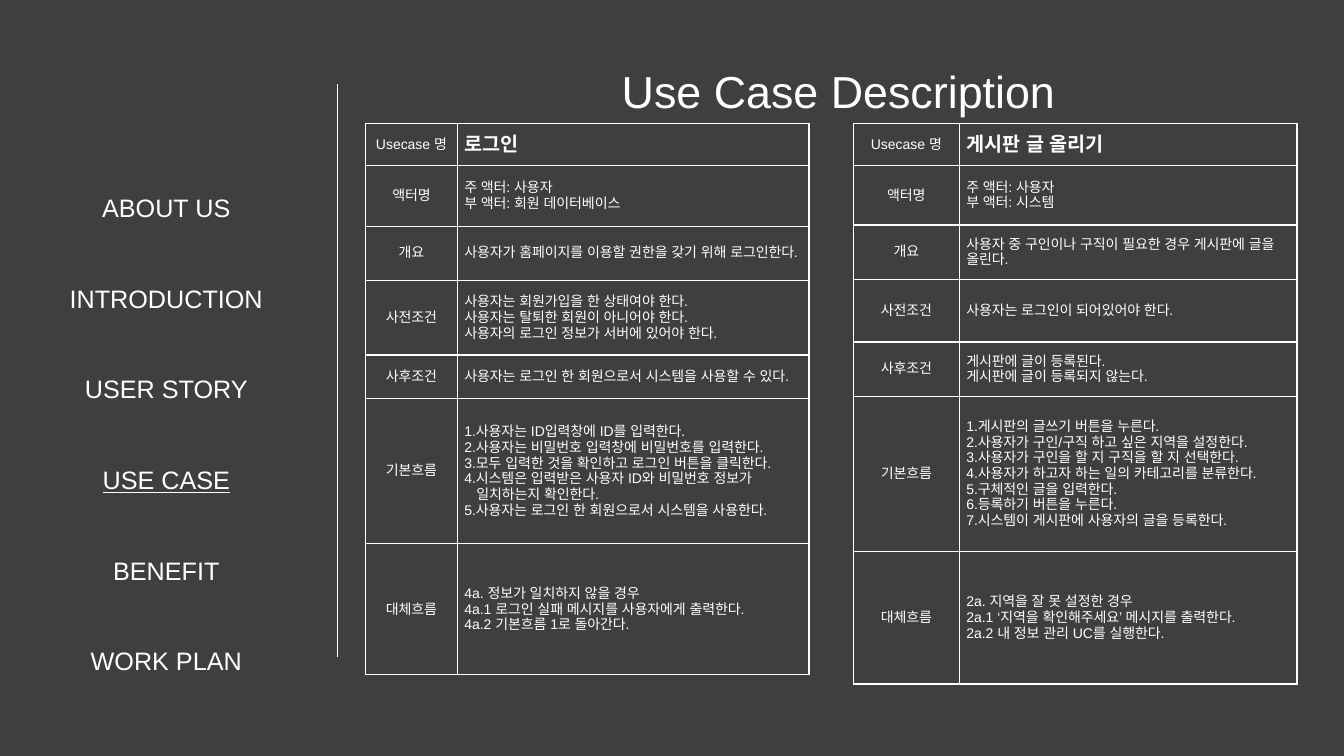
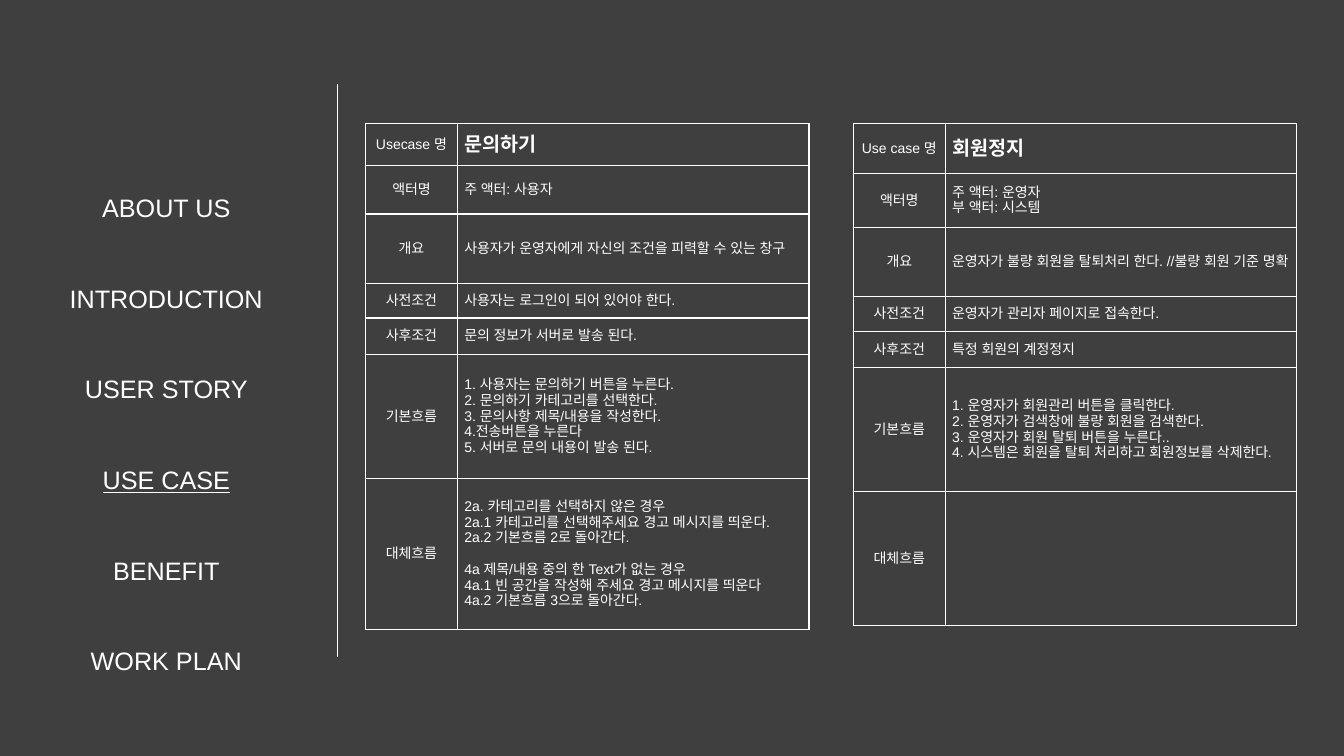
from dataclasses import dataclass

from lxml.etree import SubElement
from pptx import Presentation
from pptx.dml.color import RGBColor as Rgb
from pptx.enum.shapes import MSO_CONNECTOR as Link
from pptx.enum.text import MSO_ANCHOR as Anchor, PP_ALIGN as Align
from pptx.oxml.ns import qn
from pptx.util import Inches, Pt

COLS, ROWS = 80, 45
UNIT = Inches(1) // 6  # side of one grid square


@dataclass(frozen=True)
class Theme:
    back: str = "3F3F3F"
    ink: str = "FFFFFF"
    font: str = "Arial"
    title: float = 32
    menu: float = 18
    head: float = 14
    body: float = 10
    rule: float = 0.75
    edge: float = 1


@dataclass(frozen=True)
class Line:
    text: str
    indent: float = 0  # inches
    gap: float = 0  # points before


MENU = ["ABOUT US", "INTRODUCTION", "USER STORY", "USE CASE", "BENEFIT", "WORK PLAN"]
LABELS = ["액터명", "개요", "사전조건", "사후조건", "기본흐름", "대체흐름"]
LEFT, RIGHT, TOP, WIDTH = 21.76, 50.8, 7.36, 26.4
NARROW, WIDE = 5.46, 6.3


def grid(size):
    return round(size * UNIT)


class Deck:
    def __init__(self, theme):
        self.theme = theme
        self.file = Presentation()
        self.file.slide_width, self.file.slide_height = COLS * UNIT, ROWS * UNIT
        fill = self.file.slide_master.background.fill
        fill.solid()
        fill.fore_color.rgb = Rgb.from_string(theme.back)
        self.slide = None

    def page(self):
        """Start a slide with the menu and the rule beside it."""
        self.slide = self.file.slides.add_slide(self.file.slide_layouts[6])
        self.rule(20.1, 5, 39.1)
        self.menu("USE CASE")

    def run(self, para, text, size, **style):
        run = para.add_run()
        run.text = text
        font = run.font
        font.name, font.size = self.theme.font, Pt(size)
        font.color.rgb = Rgb.from_string(self.theme.ink)
        for key, value in style.items():
            setattr(font, key, value)
        # Hangul and its spaces take the East Asian face
        SubElement(run._r.get_or_add_rPr(), qn("a:ea"), typeface=self.theme.font)

    def lines(self, frame, lines, size, align=Align.LEFT, **style):
        """Write each string or Line as a paragraph and return the paragraphs."""
        paras = []
        for i, line in enumerate(lines):
            line = Line(line) if isinstance(line, str) else line
            para = frame.add_paragraph() if i else frame.paragraphs[0]
            para.alignment = align
            if line.indent:
                props = para._p.get_or_add_pPr()
                props.set("marL", str(Inches(line.indent)))
                props.set("indent", "0")
            if line.gap:
                para.space_before = Pt(line.gap)
            self.run(para, line.text, size, **style)
            paras.append(para)
        return paras

    def box(self, x, y, w, h):
        frame = self.slide.shapes.add_textbox(*map(grid, (x, y, w, h))).text_frame
        frame.word_wrap = True
        return frame

    def title(self, text):
        frame = self.box(20.1, 3.5, 59.64, 3.84)
        self.lines(frame, [text], self.theme.title, Align.CENTER)

    def menu(self, here):
        frame = self.box(0, 7.54, 19.8, 26.88)
        for para in self.lines(frame, MENU, self.theme.menu, Align.CENTER):
            para.line_spacing = 3.0
            if para.text == here:
                para.runs[0].font.underline = True

    def rule(self, x, top, end):
        rule = self.slide.shapes.add_connector(
            Link.STRAIGHT, grid(x), grid(top), grid(x), grid(end))
        rule.line.color.rgb = Rgb.from_string(self.theme.ink)
        rule.line.width = Pt(self.theme.rule)
        SubElement(rule._element.spPr, qn("a:effectLst"))

    def frame(self, cell):
        """Give a cell its borders, insets and clear fill."""
        props = cell._tc.get_or_add_tcPr()
        for side in ("lnL", "lnR", "lnT", "lnB"):
            edge = SubElement(props, qn(f"a:{side}"), w=str(Pt(self.theme.edge)))
            fill = SubElement(edge, qn("a:solidFill"))
            SubElement(fill, qn("a:srgbClr"), val=self.theme.ink)
        cell.fill.background()
        cell.vertical_anchor = Anchor.MIDDLE
        cell.margin_left = cell.margin_right = Inches(0.07)
        cell.margin_top = cell.margin_bottom = Inches(0.07)

    def case(self, x, name, texts, heights, first=NARROW, label="Usecase 명"):
        """Draw a use case table: a name row, then one row per label."""
        rows = [(label, [name]), *zip(LABELS, texts)]
        table = self.slide.shapes.add_table(
            len(rows), 2, grid(x), grid(TOP), grid(WIDTH), grid(sum(heights))).table
        table.first_row = table.horz_banding = False
        for col, width in zip(table.columns, (first, WIDTH - first)):
            col.width = grid(width)
        for i, (head, lines) in enumerate(rows):
            table.rows[i].height = grid(heights[i])
            left, right = table.cell(i, 0), table.cell(i, 1)
            self.frame(left)
            self.frame(right)
            self.lines(left.text_frame, [head], self.theme.body, Align.CENTER, bold=False)
            size = self.theme.body if i else self.theme.head
            self.lines(right.text_frame, lines, size, bold=not i)


def main():
    deck = Deck(Theme())

    deck.page()
    deck.title("Use Case Description")
    deck.case(RIGHT, "게시판 글 올리기", [
        ["주 액터: 사용자", "부 액터: 시스템"],
        ["사용자 중 구인이나 구직이 필요한 경우 게시판에 글을 올린다."],
        ["사용자는 로그인이 되어있어야 한다."],
        ["게시판에 글이 등록된다.", "게시판에 글이 등록되지 않는다."],
        ["1.게시판의 글쓰기 버튼을 누른다.",
         "2.사용자가 구인/구직 하고 싶은 지역을 설정한다.",
         "3.사용자가 구인을 할 지 구직을 할 지 선택한다.",
         "4.사용자가 하고자 하는 일의 카테고리를 분류한다.",
         "5.구체적인 글을 입력한다.",
         "6.등록하기 버튼을 누른다.",
         "7.시스템이 게시판에 사용자의 글을 등록한다."],
        ["2a. 지역을 잘 못 설정한 경우",
         "2a.1 ‘지역을 확인해주세요’ 메시지를 출력한다.",
         "2a.2 내 정보 관리 UC를 실행한다."],
    ], [2.5, 3.54, 3.22, 3.74, 3.22, 9.24, 7.9], WIDE)
    deck.case(LEFT, "로그인", [
        ["주 액터: 사용자", "부 액터: 회원 데이터베이스"],
        ["사용자가 홈페이지를 이용할 권한을 갖기 위해 로그인한다."],
        ["사용자는 회원가입을 한 상태여야 한다.",
         "사용자는 탈퇴한 회원이 아니어야 한다.",
         "사용자의 로그인 정보가 서버에 있어야 한다."],
        ["사용자는 로그인 한 회원으로서 시스템을 사용할 수 있다."],
        ["1.사용자는 ID입력창에 ID를 입력한다.",
         "2.사용자는 비밀번호 입력창에 비밀번호를 입력한다.",
         "3.모두 입력한 것을 확인하고 로그인 버튼을 클릭한다.",
         "4.시스템은 입력받은 사용자 ID와 비밀번호 정보가",
         Line("일치하는지 확인한다.", indent=0.12),
         "5.사용자는 로그인 한 회원으로서 시스템을 사용한다."],
        ["4a. 정보가 일치하지 않을 경우",
         "4a.1 로그인 실패 메시지를 사용자에게 출력한다.",
         "4a.2 기본흐름 1로 돌아간다."],
    ], [2.5, 3.6, 3.22, 4.45, 2.6, 8.64, 7.8])

    deck.page()
    deck.case(LEFT, "문의하기", [
        ["주 액터: 사용자"],
        ["사용자가 운영자에게 자신의 조건을 피력할 수 있는 창구"],
        ["사용자는 로그인이 되어 있어야 한다."],
        ["문의 정보가 서버로 발송 된다."],
        ["1. 사용자는 문의하기 버튼을 누른다.",
         "2. 문의하기 카테고리를 선택한다.",
         "3. 문의사항 제목/내용을 작성한다.",
         "4.전송버튼을 누른다",
         "5. 서버로 문의 내용이 발송 된다."],
        ["2a. 카테고리를 선택하지 않은 경우",
         "2a.1 카테고리를 선택해주세요 경고 메시지를 띄운다.",
         "2a.2 기본흐름 2로 돌아간다.",
         Line("4a 제목/내용 중의 한 Text가 없는 경우", gap=11.5),
         "4a.1 빈 공간을 작성해 주세요 경고 메시지를 띄운다",
         "4a.2 기본흐름 3으로 돌아간다."],
    ], [2.5, 2.88, 4.14, 2.05, 2.16, 7.4, 8.98])
    deck.case(RIGHT, "회원정지", [
        ["주 액터: 운영자", "부 액터: 시스템"],
        ["운영자가 불량 회원을 탈퇴처리 한다. //불량 회원 기준 명확"],
        ["운영자가 관리자 페이지로 접속한다."],
        ["특정 회원의 계정정지"],
        ["1. 운영자가 회원관리 버튼을 클릭한다.",
         "2. 운영자가 검색창에 불량 회원을 검색한다.",
         "3. 운영자가 회원 탈퇴 버튼을 누른다..",
         "4. 시스템은 회원을 탈퇴 처리하고 회원정보를 삭제한다."],
        [],
    ], [2.95, 3.22, 4.14, 2.05, 2.16, 7.4, 7.98], label="Use case 명")

    deck.file.save("out.pptx")


if __name__ == "__main__":
    main()
